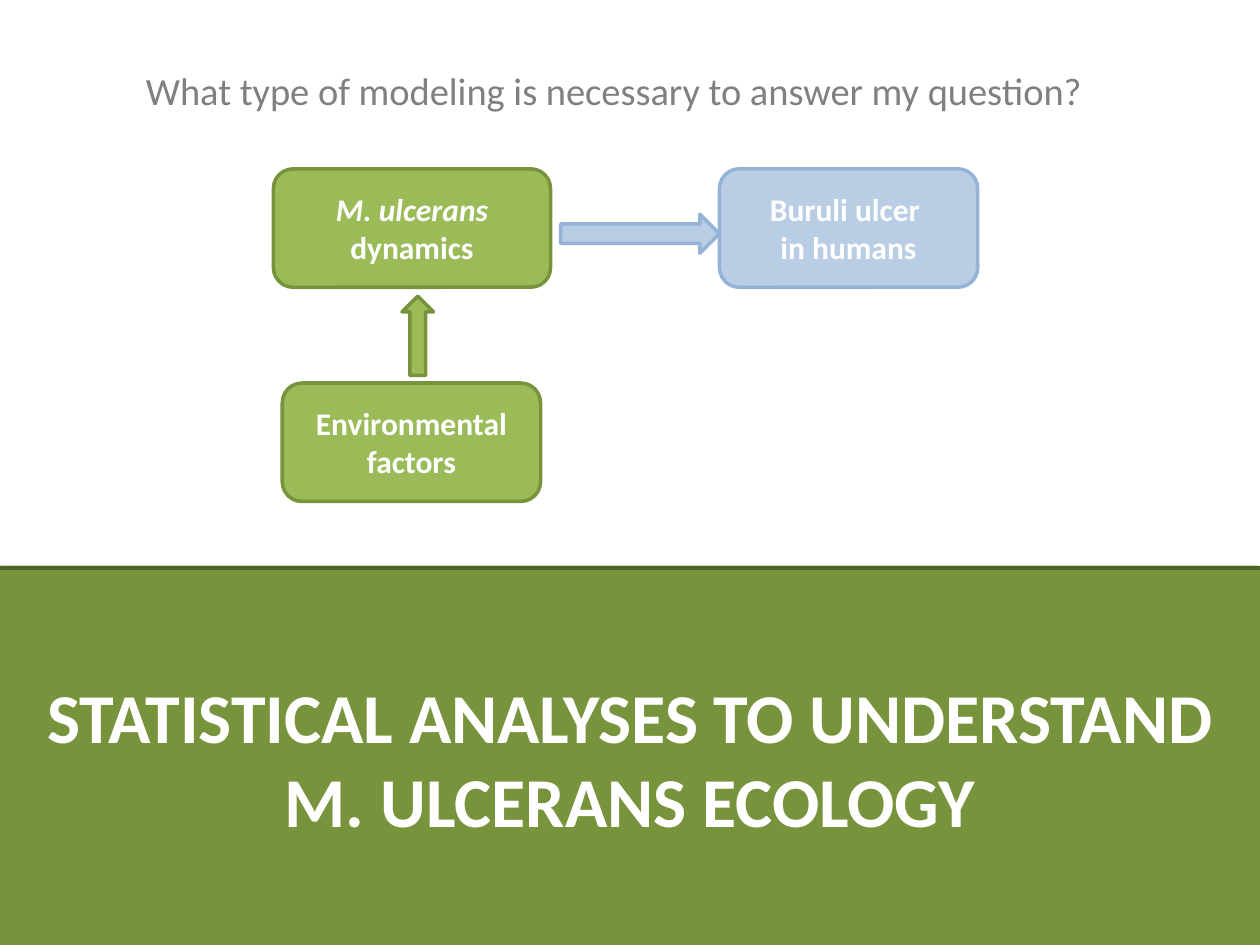
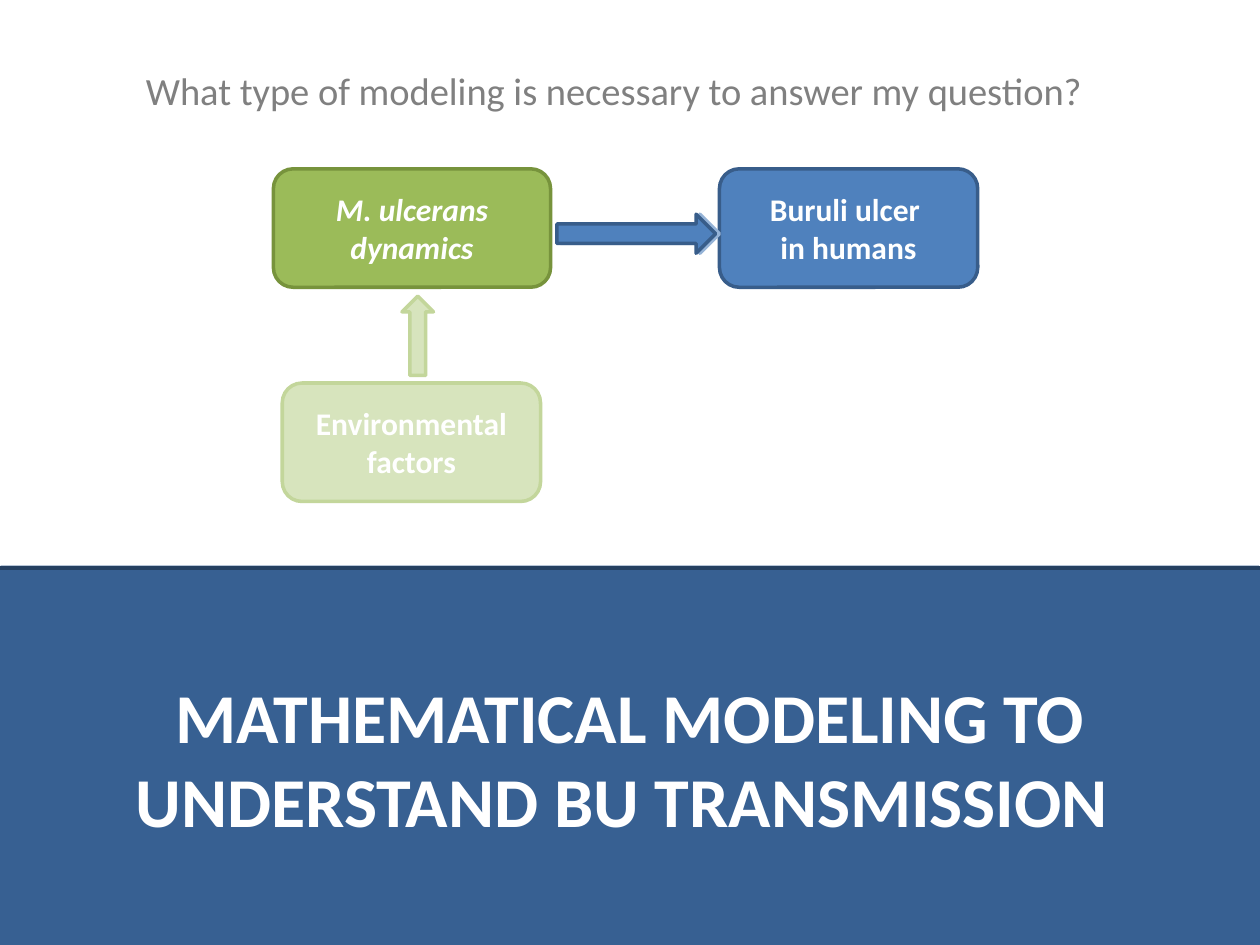
import pptx
import pptx.dml.color
import pptx.enum.shapes
import pptx.enum.text
import pptx.oxml
import pptx.util

RGBColor = pptx.dml.color.RGBColor
Shapes = pptx.enum.shapes.MSO_SHAPE
Align = pptx.enum.text.PP_ALIGN

WHITE = RGBColor(0xFF, 0xFF, 0xFF)
GRAY = RGBColor(0x80, 0x80, 0x80)
GREEN = RGBColor(0x9B, 0xBB, 0x59)
DARK_GREEN = RGBColor(0x77, 0x93, 0x3C)
DEEP_GREEN = RGBColor(0x4F, 0x62, 0x28)
PALE_GREEN = RGBColor(0xD7, 0xE4, 0xBD)
SOFT_GREEN = RGBColor(0xC3, 0xD6, 0x9B)
BLUE = RGBColor(0x4F, 0x81, 0xBD)
EDGE_BLUE = RGBColor(0x38, 0x5D, 0x8A)
DARK_BLUE = RGBColor(0x37, 0x60, 0x92)
DEEP_BLUE = RGBColor(0x25, 0x40, 0x61)
PALE_BLUE = RGBColor(0xB9, 0xCD, 0xE5)
SOFT_BLUE = RGBColor(0x95, 0xB3, 0xD7)

GREEN_STYLE = (GREEN, DARK_GREEN)
FADED_GREEN_STYLE = (PALE_GREEN, SOFT_GREEN)
BLUE_STYLE = (BLUE, EDGE_BLUE)
FADED_BLUE_STYLE = (PALE_BLUE, SOFT_BLUE)

FONT = "Calibri"
COLUMNS, ROWS = 100, 75
WIDTH, HEIGHT = pptx.util.Inches(10), pptx.util.Inches(7.5)
QUESTION = "What type of modeling is necessary to answer my question?"

BOX_ROW, BOX_WIDTH, BOX_HEIGHT = 13.4, 20.5, 9.4
DYNAMICS_AREA = (21.7, BOX_ROW, 22, BOX_HEIGHT)
ULCER_AREA = (57.1, BOX_ROW, BOX_WIDTH, BOX_HEIGHT)
FACTORS_AREA = (22.4, 30.4, BOX_WIDTH, BOX_HEIGHT)
UP_ARROW_AREA = (30, 25.4, 6.3, 2.5)
ACROSS_ARROW_AREA = (44.5, 17, 12.6, 3.1)
SHIFTED_ARROW_AREA = (44.2, 17, 12.6, 3.1)


def place(column, row, columns, rows):
    """Turn grid columns and rows into slide lengths."""
    across, down = WIDTH / COLUMNS, HEIGHT / ROWS
    return (round(column * across), round(row * down),
            round(columns * across), round(rows * down))


def write_text(shape, text, size=18, color=WHITE, bold=True,
               align=Align.CENTER, anchor=pptx.enum.text.MSO_ANCHOR.MIDDLE,
               spacing=None):
    """Write one paragraph per line, with parts between asterisks in italics."""
    frame = shape.text_frame
    frame.word_wrap = True
    frame.vertical_anchor = anchor
    for index, line in enumerate(text.split("\n")):
        paragraph = frame.add_paragraph() if index else frame.paragraphs[0]
        paragraph.alignment = align
        paragraph.line_spacing = spacing
        for part, words in enumerate(line.split("*")):
            if words:
                run = paragraph.add_run()
                run.text = words
                run.font.name = FONT
                run.font.size = pptx.util.Pt(size)
                run.font.bold = bold
                run.font.italic = part % 2 == 1
                run.font.color.rgb = color


def add_figure(slide, kind, area, fill, edge=None, rotation=0):
    """Add a preset shape with a flat fill and an optional outline."""
    shape = slide.shapes.add_shape(kind, *place(*area))
    shape.shadow.inherit = False
    shape.rotation = rotation
    shape.fill.solid()
    shape.fill.fore_color.rgb = fill
    if edge is None:
        shape.line.fill.background()
    else:
        shape.line.color.rgb = edge
        shape.line.width = pptx.util.Pt(2)
    return shape


def add_box(slide, area, style, text):
    """Add a labelled rounded box."""
    write_text(add_figure(slide, Shapes.ROUNDED_RECTANGLE, area, *style), text)


def add_arrow(slide, area, style, rotation=0):
    """Add a block arrow."""
    add_figure(slide, Shapes.RIGHT_ARROW, area, *style, rotation=rotation)


def add_band(slide, title, fill, edge):
    """Add the title band with its rule along the top."""
    band = add_figure(slide, Shapes.ROUNDED_RECTANGLE,
                      (0, 44.9, COLUMNS, 30.4), fill)
    band.adjustments[0] = 0.003
    write_text(band, title, size=40)
    left, top, width, _ = place(0, 45.1, COLUMNS, 0)
    rule = slide.shapes.add_connector(
        pptx.enum.shapes.MSO_CONNECTOR.STRAIGHT, left, top, left + width, top)
    rule.line.color.rgb = edge
    rule.line.width = pptx.util.Pt(2.25)
    rule._element.spPr.append(pptx.oxml.parse_xml(
        '<a:effectLst xmlns:a='
        '"http://schemas.openxmlformats.org/drawingml/2006/main"/>'))


def add_question(slide):
    """Add the question above the diagram."""
    box = slide.shapes.add_textbox(*place(10.6, 3, 89, 6))
    write_text(box, QUESTION, size=22, color=GRAY, bold=False,
               align=Align.LEFT, anchor=pptx.enum.text.MSO_ANCHOR.TOP,
               spacing=1.5)
    box.text_frame.auto_size = pptx.enum.text.MSO_AUTO_SIZE.SHAPE_TO_FIT_TEXT


def add_model_slide(presentation, title, band_style, dynamics, factors_style,
                    ulcer_style, arrows):
    """Add a slide with the three-box model over a title band."""
    slide = presentation.slides.add_slide(presentation.slide_layouts[6])
    add_band(slide, title, *band_style)
    add_question(slide)
    add_box(slide, FACTORS_AREA, factors_style, "Environmental factors")
    add_arrow(slide, UP_ARROW_AREA, factors_style, rotation=270)
    add_box(slide, DYNAMICS_AREA, GREEN_STYLE, dynamics)
    add_box(slide, ULCER_AREA, ulcer_style, "Buruli ulcer \nin humans")
    for area, style in arrows:
        add_arrow(slide, area, style)


def main():
    """Build and save the two slides."""
    presentation = pptx.Presentation()
    presentation.slide_width, presentation.slide_height = WIDTH, HEIGHT
    faded_arrow = (ACROSS_ARROW_AREA, FADED_BLUE_STYLE)
    add_model_slide(
        presentation,
        "STATISTICAL ANALYSES TO UNDERSTAND M. ULCERANS ECOLOGY",
        (DARK_GREEN, DEEP_GREEN), "*M. ulcerans *dynamics",
        GREEN_STYLE, FADED_BLUE_STYLE, [faded_arrow])
    add_model_slide(
        presentation,
        "MATHEMATICAL MODELING TO UNDERSTAND BU TRANSMISSION ",
        (DARK_BLUE, DEEP_BLUE), "*M. ulcerans dynamics*",
        FADED_GREEN_STYLE, BLUE_STYLE,
        [faded_arrow, (SHIFTED_ARROW_AREA, BLUE_STYLE)])
    presentation.save("out.pptx")


if __name__ == "__main__":
    main()
